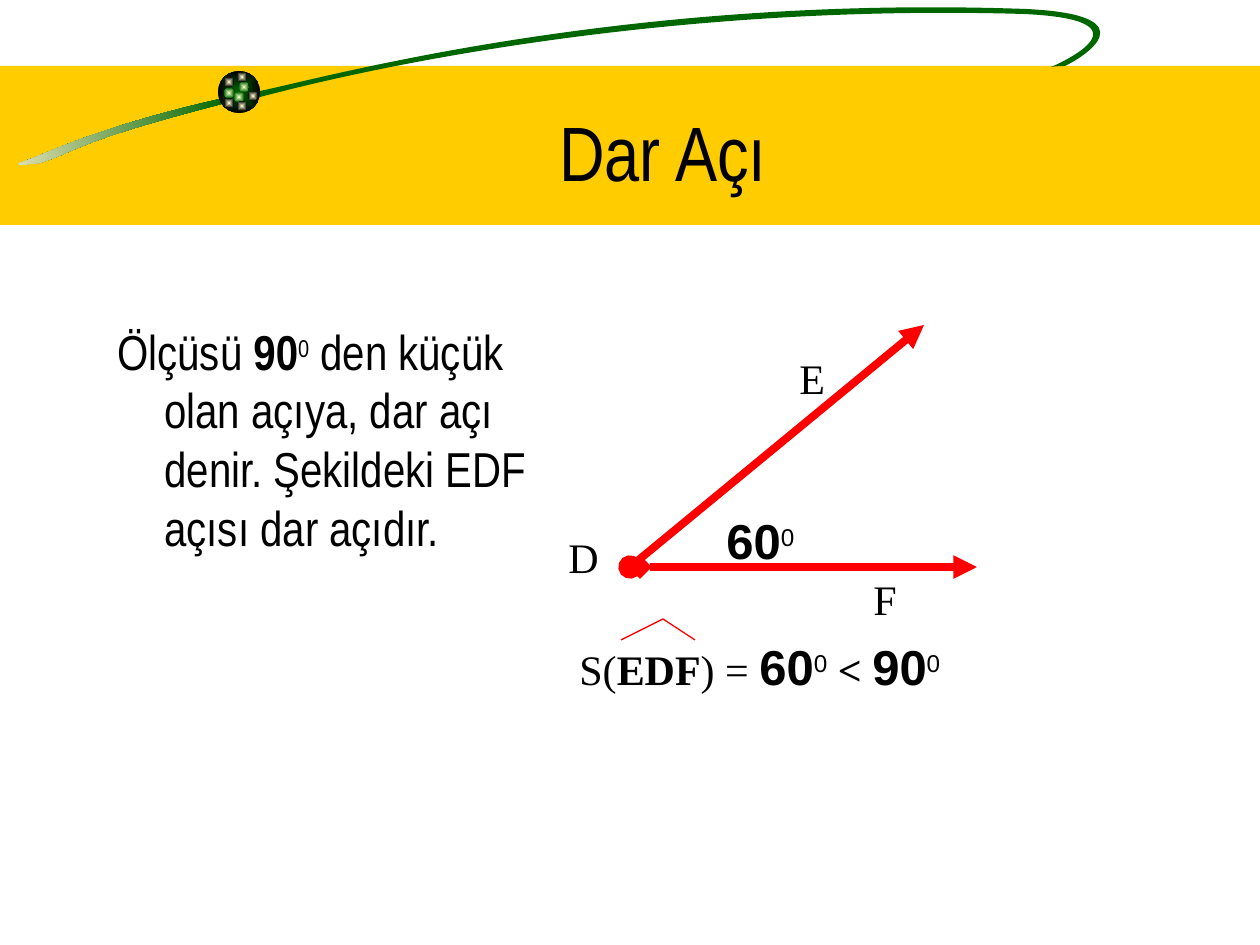
from math import cos, radians, sin

from lxml.etree import SubElement
from pptx import Presentation
from pptx.dml.color import RGBColor
from pptx.enum.shapes import MSO_CONNECTOR, MSO_SHAPE
from pptx.enum.text import MSO_ANCHOR, PP_ALIGN
from pptx.oxml.ns import qn
from pptx.util import Emu, Pt

BLACK = RGBColor(0x00, 0x00, 0x00)
WHITE = RGBColor(0xFF, 0xFF, 0xFF)
YELLOW = RGBColor(0xFF, 0xCC, 0x00)
GREEN = RGBColor(0x00, 0x66, 0x00)
CREAM = RGBColor(0xF5, 0xEB, 0xC1)
PALE = RGBColor(0xFF, 0xFF, 0xCC)
RED = RGBColor(0xFF, 0x00, 0x00)

NARROW, SANS, SERIF = "Arial Narrow", "Arial", "Times New Roman"
EMU_PER_PX = 914400 / 126
TILT = -8.5


def px(length):
    return Emu(round(length * EMU_PER_PX))


def untilted(point, frame):
    left, top, width, height = frame
    dx, dy = point[0] - left - width / 2, point[1] - top - height / 2
    turn = radians(-TILT)
    return (dx * cos(turn) - dy * sin(turn) + width / 2,
            dx * sin(turn) + dy * cos(turn) + height / 2)


class SlideBuilder:
    """Draws styled elements on the current slide, with lengths in px."""

    def __init__(self, page):
        self.page = page

    def paint(self, shape, colors, radial=False):
        shape.shadow.inherit = False
        shape.line.fill.background()
        if len(colors) == 1:
            shape.fill.solid()
            shape.fill.fore_color.rgb = colors[0]
            return
        shape.fill.gradient()
        shape.fill.gradient_angle = 180
        for stop, color, position in zip(shape.fill.gradient_stops, colors, (0, 1)):
            stop.color.rgb = color
            stop.position = position
        if radial:
            gradient = shape.element.spPr.find(qn("a:gradFill"))
            gradient.remove(gradient.find(qn("a:lin")))
            center = SubElement(gradient, qn("a:path"), {"path": "rect"})
            SubElement(center, qn("a:fillToRect"), dict.fromkeys("ltrb", "50000"))

    def preset(self, kind, left, top, width, height, *colors):
        shape = self.page.shapes.add_shape(kind, px(left), px(top), px(width), px(height))
        self.paint(shape, colors, radial=True)

    def outline(self, points, close):
        vertices = [(px(x), px(y)) for x, y in points]
        builder = self.page.shapes.build_freeform(*vertices[0], scale=1.0)
        builder.add_line_segments(vertices[1:], close=close)
        return builder.convert_to_shape()

    def swoosh(self, frame, start, curves, *colors):
        shape = self.outline([start] + [curve[-1] for curve in curves], True)
        shape.left, shape.top, shape.width, shape.height = map(px, frame)
        shape.rotation = TILT
        track = next(shape.element.iter(qn("a:path")))
        for child in list(track):
            track.remove(child)
        track.set("w", str(shape.width))
        track.set("h", str(shape.height))
        for tag, points in [("a:moveTo", [start])] + [("a:cubicBezTo", curve) for curve in curves]:
            segment = SubElement(track, qn(tag))
            for point in points:
                x, y = untilted(point, frame)
                SubElement(segment, qn("a:pt"), {"x": str(px(x)), "y": str(px(y))})
        SubElement(track, qn("a:close"))
        self.paint(shape, colors)

    def hat(self, points):
        shape = self.outline(points, False)
        shape.shadow.inherit = False
        shape.fill.background()
        shape.line.color.rgb = RED
        shape.line.width = Pt(0.75)

    def ray(self, start, end, head):
        ray = self.page.shapes.add_connector(MSO_CONNECTOR.STRAIGHT, *map(px, start + end))
        ray.line.color.rgb = RED
        ray.line.width = Pt(4.5)
        line = ray.line._get_or_add_ln()
        SubElement(line, qn("a:headEnd"), {"type": head})
        SubElement(line, qn("a:tailEnd"), {"type": "triangle"})
        SubElement(ray.element.spPr, qn("a:effectLst"))

    def text(self, left, top, width, height, spans, before=15, align=PP_ALIGN.LEFT,
             anchor=MSO_ANCHOR.TOP, hanging=0):
        box = self.page.shapes.add_textbox(px(left), px(top), px(width), px(height))
        frame = box.text_frame
        frame.word_wrap = True
        frame.vertical_anchor = anchor
        para = frame.paragraphs[0]
        para.alignment = align
        para.space_before = Pt(before)
        if hanging:
            properties = para._p.get_or_add_pPr()
            properties.set("marL", str(px(hanging)))
            properties.set("indent", str(-px(hanging)))
        for words, font, size, *marks in spans:
            span = para.add_run()
            span.text = words
            span.font.name = font
            span.font.size = Pt(size)
            span.font.bold = "bold" in marks
            span.font.color.rgb = BLACK
            if "raised" in marks:
                span._r.get_or_add_rPr().set("baseline", "30000")


def degrees(number, font=SANS):
    return [(number, font, 28, "bold"), ("0", font, 24, "raised")]


def main():
    deck = Presentation()
    deck.slide_width, deck.slide_height = px(1260), px(945)
    page = deck.slides.add_slide(deck.slide_layouts[6])
    page.background.fill.solid()
    page.background.fill.fore_color.rgb = WHITE
    draw = SlideBuilder(page)

    draw.preset(MSO_SHAPE.RECTANGLE, 0, 66, 1260, 159, YELLOW)
    draw.swoosh((-4, 115, 232, 38), (224, 98), [
        ((115, 123), (62, 146), (31, 159)),
        ((1, 169), (33, 163), (39, 163)),
        ((72, 154), (72, 142), (226, 103)),
        ((226, 103), (224, 98), (224, 98)),
    ], GREEN, CREAM)
    draw.swoosh((253, -19, 902, 137), (255, 92), [
        ((310, 82), (612, -6), (1026, 9)),
        ((1155, 15), (1080, 59), (1065, 66)),
        ((1065, 66), (1056, 66), (1051, 67)),
        ((1063, 62), (1154, 20), (1024, 14)),
        ((690, 4), (403, 59), (260, 97)),
        ((260, 97), (255, 92), (255, 92)),
    ], GREEN)
    draw.preset(MSO_SHAPE.OVAL, 218, 71, 42, 42, GREEN, BLACK)
    for left, top, edge in [
        (239, 82, GREEN), (224, 77, BLACK), (224, 88, GREEN), (234, 92, GREEN),
        (248, 91, BLACK), (237, 101, BLACK), (224, 98, BLACK), (237, 72, BLACK),
    ]:
        draw.preset(MSO_SHAPE.OVAL, left, top, 10, 10, PALE, edge)

    draw.text(71, 99, 1184, 103, [("Dar Açı", NARROW, 44)], before=0,
              align=PP_ALIGN.CENTER, anchor=MSO_ANCHOR.MIDDLE)
    draw.text(105, 315, 496, 325, [
        ("Ölçüsü ", NARROW, 28),
        *degrees("90", NARROW),
        (" den küçük olan açıya, dar açı denir. Şekildeki EDF açısı dar açıdır.", NARROW, 28),
    ], before=7, hanging=47)

    draw.ray((630, 567), (924, 325), "oval")
    draw.ray((640, 567), (977, 567), "diamond")
    draw.text(714, 504, 147, 72, degrees("60"))
    for name, left, top, width in [("E", 787, 346, 126), ("F", 861, 567, 84), ("D", 556, 525, 73)]:
        draw.text(left, top, width, 63, [(name, SERIF, 24)])
    draw.text(567, 630, 462, 72, [
        ("S(", SERIF, 24),
        ("EDF", SERIF, 24, "bold"),
        (") = ", SERIF, 24),
        *degrees("60"),
        (" < ", SERIF, 24, "bold"),
        *degrees("90"),
    ])
    draw.hat([(621, 640), (663, 619), (695, 640)])

    deck.save("out.pptx")


if __name__ == "__main__":
    main()
